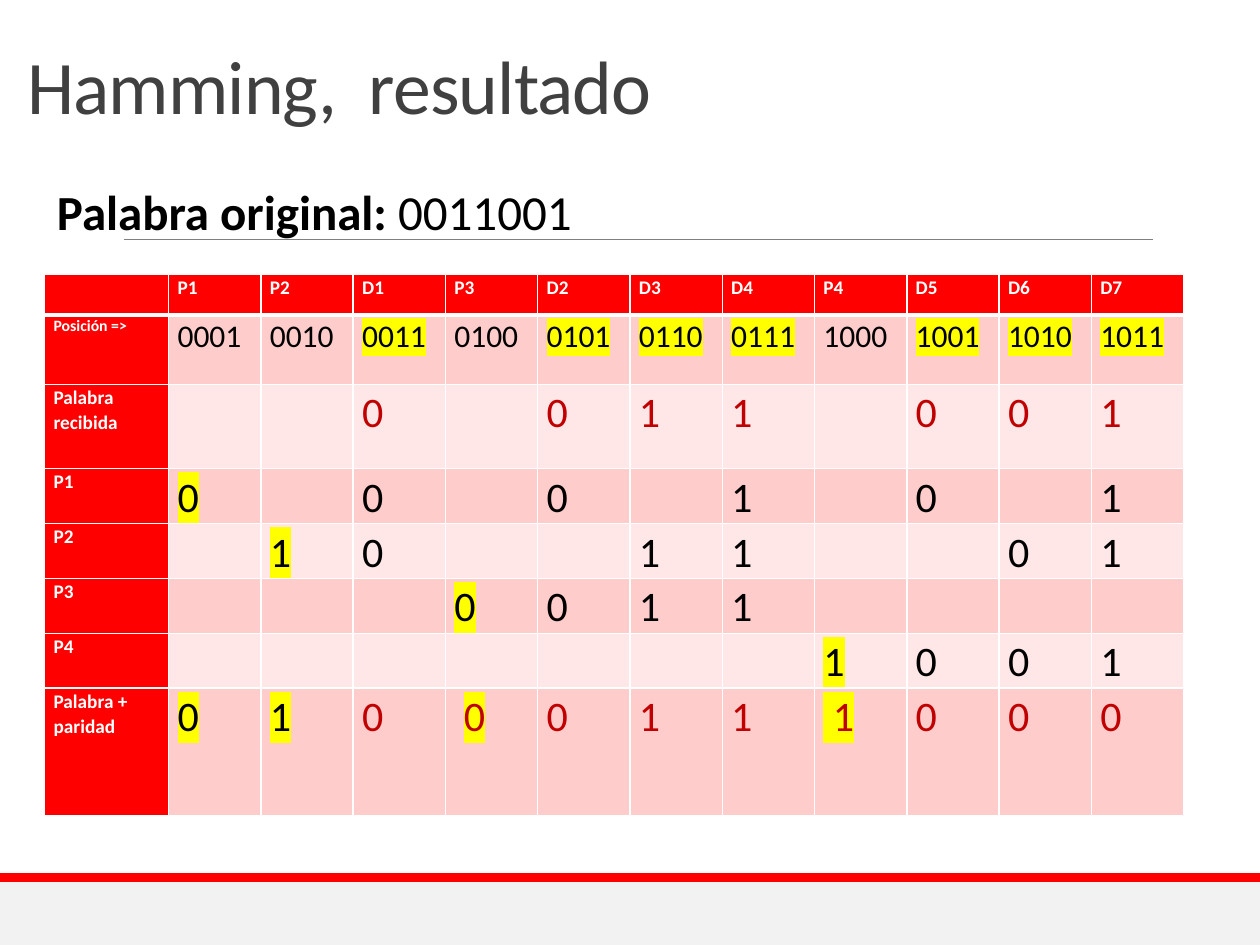
from dataclasses import dataclass

from lxml.etree import SubElement
from pptx import Presentation
from pptx.dml.color import RGBColor
from pptx.enum.shapes import MSO_CONNECTOR, MSO_SHAPE
from pptx.enum.text import MSO_ANCHOR, MSO_AUTO_SIZE
from pptx.oxml.ns import qn
from pptx.util import Cm, Pt

FONT = "Calibri"
RED, DARK_RED, YELLOW = "FF0000", "C00000", "FFFF00"
WHITE, BLACK = "FFFFFF", "000000"
BANDS = ("FFCCCC", "FFE7E7")


@dataclass
class BitRow:
    label: str
    bits: str  # comma-separated cells; the part after * is highlighted
    height: float = 0.84
    size: float = 24
    label_size: float = 11
    red_from: int = 12  # first column written in dark red


@dataclass
class Bar:
    top: float
    height: float
    color: str


@dataclass
class Label:
    text: str
    place: tuple[float, float, float, float]
    size: float
    color: str
    bold_lead: str = ""
    anchor: MSO_ANCHOR = MSO_ANCHOR.TOP
    line_spacing: float = 1.0
    tracking: int = 0
    wrap: bool = True


BARS = [Bar(17.78, 1.27, "F2F2F2"), Bar(17.6, 0.18, RED)]

TITLE = Label("Hamming,  resultado", (0.3, 0.79, 22.94, 1.96), 43.2, "404040",
              anchor=MSO_ANCHOR.BOTTOM, line_spacing=0.85, tracking=-50)
WORD = Label("0011001", (0.9, 3.53, 11.02, 1.45), 28, BLACK, "Palabra original: ",
             wrap=False)

HEADINGS = ",P1,P2,D1,P3,D2,D3,D4,P4,D5,D6,D7".split(",")
ROWS = [
    BitRow("Posición =>",
           "0001,0010,*0011,0100,*0101,*0110,*0111,1000,*1001,*1010,*1011",
           1.4, 18, 9),
    BitRow("Palabra  recibida", ",,0,,0,1,1,,0,0,1", 1.7, red_from=1),
    BitRow("P1", "*0,,0,,0,,1,,0,,1"),
    BitRow("P2", ",*1,0,,,1,1,,,0,1"),
    BitRow("P3", ",,,*0,0,1,1,,,,"),
    BitRow("P4", ",,,,,,,*1,0,0,1"),
    BitRow("Palabra + paridad", "*0,*1,0, *0,0,1,1,* 1,0,0,0", 2.57, red_from=3),
]


def rgb(color: str) -> RGBColor:
    return RGBColor.from_string(color)


def add_span(para, text: str, size: float, color: str, bold=False, highlight=None):
    span = para.add_run()
    span.text = text
    for name, value in {"size": Pt(size), "bold": bold, "name": FONT}.items():
        setattr(span.font, name, value)
    span.font.color.rgb = rgb(color)
    if highlight:
        properties = span._r.get_or_add_rPr()
        mark = SubElement(properties, qn("a:highlight"))
        SubElement(mark, qn("a:srgbClr"), val=highlight)
        properties.find(qn("a:latin")).addprevious(mark)
    return span


def add_bar(page, bar: Bar) -> None:
    shape = page.shapes.add_shape(MSO_SHAPE.RECTANGLE, 0, Cm(bar.top), Cm(25.4), Cm(bar.height))
    shape.shadow.inherit = False
    shape.fill.solid()
    shape.fill.fore_color.rgb = rgb(bar.color)
    shape.line.fill.background()


def add_rule(page, left: float, right: float, top: float) -> None:
    rule = page.shapes.add_connector(MSO_CONNECTOR.STRAIGHT, Cm(left), Cm(top), Cm(right), Cm(top))
    rule.line.color.rgb = rgb("808080")
    rule.line.width = Pt(0.5)
    SubElement(rule._element.spPr, qn("a:effectLst"))


def add_label(page, label: Label) -> None:
    box = page.shapes.add_textbox(*map(Cm, label.place))
    frame = box.text_frame
    frame_format = {
        "word_wrap": label.wrap,
        "vertical_anchor": label.anchor,
        "auto_size": MSO_AUTO_SIZE.NONE if label.wrap else MSO_AUTO_SIZE.SHAPE_TO_FIT_TEXT,
    }
    for name, value in frame_format.items():
        setattr(frame, name, value)
    para = frame.paragraphs[0]
    para.line_spacing = label.line_spacing
    if label.bold_lead:
        add_span(para, label.bold_lead, label.size, label.color, bold=True)
    span = add_span(para, label.text, label.size, label.color)
    if label.tracking:
        span._r.get_or_add_rPr().set("spc", str(label.tracking))


def set_borders(cell, top: float, bottom: float) -> None:
    properties = cell._tc.get_or_add_tcPr()
    widths = {"a:lnL": 1, "a:lnR": 1, "a:lnT": top, "a:lnB": bottom}
    for position, (tag, width) in enumerate(widths.items()):
        line = SubElement(properties, qn(tag), w=str(Pt(width)))
        fill = SubElement(line, qn("a:solidFill"))
        SubElement(fill, qn("a:srgbClr"), val=WHITE)
        properties.insert(position, line)


def style_cell(cell, fill: str, top: float = 1, bottom: float = 1):
    """Format one cell and return its paragraph."""
    margins = {"margin_left": 0.18, "margin_right": 0.18, "margin_top": 0, "margin_bottom": 0}
    for name, value in margins.items():
        setattr(cell, name, Cm(value))
    cell.fill.solid()
    cell.fill.fore_color.rgb = rgb(fill)
    set_borders(cell, top, bottom)
    para = cell.text_frame.paragraphs[0]
    para.line_spacing = 1.07
    para.font.size = Pt(11)
    return para


def add_bit_table(page) -> None:
    widths = [2.5] + [1.86] * 11
    heights = [0.82] + [row.height for row in ROWS]
    table = page.shapes.add_table(len(heights), len(widths), Cm(0.9), Cm(5.53),
                                  Cm(sum(widths)), Cm(sum(heights))).table
    table.horz_banding = False
    for column, width in zip(table.columns, widths):
        column.width = Cm(width)
    for line, height in zip(table.rows, heights):
        line.height = Cm(height)

    # Heading row
    for column, heading in enumerate(HEADINGS):
        para = style_cell(table.cell(0, column), RED, bottom=3)
        if heading:
            add_span(para, heading, 11, WHITE, bold=True)

    # Label column and bits
    for number, row in enumerate(ROWS, start=1):
        top = 3 if number == 1 else 1
        para = style_cell(table.cell(number, 0), RED, top)
        add_span(para, row.label, row.label_size, WHITE, bold=True)
        for column, bit in enumerate(row.bits.split(","), start=1):
            para = style_cell(table.cell(number, column), BANDS[(number - 1) % 2], top)
            color = DARK_RED if column >= row.red_from else BLACK
            plain, _, marked = bit.partition("*")
            for text, highlight in ((plain, None), (marked, YELLOW)):
                if text:
                    add_span(para, text, row.size, color, highlight=highlight)


def main() -> None:
    deck = Presentation()
    deck.slide_width, deck.slide_height = Cm(25.4), Cm(19.05)
    page = deck.slides.add_slide(deck.slide_layouts[6])

    # Footer band and rule
    for bar in BARS:
        add_bar(page, bar)
    add_rule(page, 2.49, 23.24, 4.83)

    # Title, table and original word
    add_label(page, TITLE)
    add_bit_table(page)
    add_label(page, WORD)

    deck.save("out.pptx")


if __name__ == "__main__":
    main()
